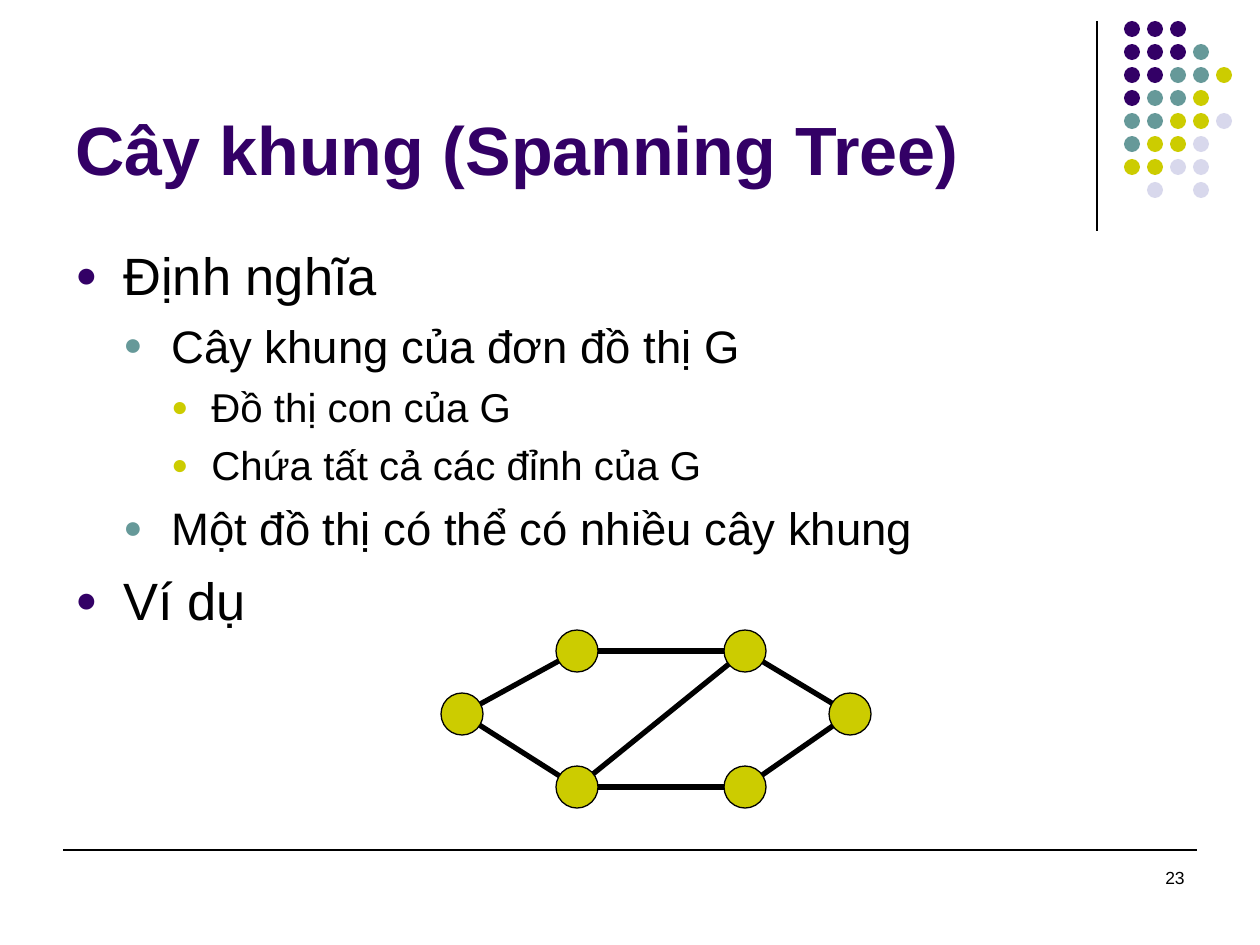
from lxml import etree
from pptx import Presentation, util as u
from pptx.dml.color import RGBColor
from pptx.enum import shapes, text
from pptx.oxml.ns import qn

PX = u.Inches(1) / 126
FONT = "Arial"
BLACK = RGBColor(0x00, 0x00, 0x00)
PURPLE = RGBColor(0x33, 0x00, 0x66)
TEAL = RGBColor(0x66, 0x99, 0x99)
OLIVE = RGBColor(0xCC, 0xCC, 0x00)
LILAC = RGBColor(0xD8, 0xD8, 0xEC)

DOT_COLORS = {"P": PURPLE, "T": TEAL, "O": OLIVE, "L": LILAC}
DOT_ROWS = ["PPP", "PPPT", "PPTTO", "PTTO", "TTOOL", "TOOL", "OOLL", " L L"]
LEVELS = [
    {"size": 30, "before": 7.5, "margin": 48, "hang": 48, "color": PURPLE},
    {"size": 26, "before": 6.5, "margin": 96, "hang": 48, "color": TEAL},
    {"size": 23, "before": 5.8, "margin": 136, "hang": 40, "color": OLIVE},
]
BODY = [
    (0, "Định nghĩa"),
    (1, "Cây khung của đơn đồ thị G"),
    (2, "Đồ thị con của G"),
    (2, "Chứa tất cả các đỉnh của G"),
    (1, "Một đồ thị có thể có nhiều cây khung"),
    (0, "Ví dụ"),
]
NODES = {
    "left": (462, 714),
    "top_left": (577, 651),
    "top_right": (745, 651),
    "right": (850, 714),
    "bottom_left": (577, 787),
    "bottom_right": (745, 787),
}
EDGES = [
    ("bottom_left", "bottom_right"),
    ("top_left", "top_right"),
    ("top_right", "right"),
    ("bottom_right", "right"),
    ("bottom_left", "top_right"),
    ("left", "bottom_left"),
    ("left", "top_left"),
]


def px(n):
    """Turn pixels into EMU."""
    return u.Emu(round(n * PX))


def apply_format(target, values):
    """Set each named attribute on the target."""
    for name, value in values.items():
        setattr(target, name, value)


def add_line(s, start, end, width):
    """Draw a straight black line between two points."""
    c = s.shapes.add_connector(shapes.MSO_CONNECTOR.STRAIGHT, *map(px, (*start, *end)))
    c.line.color.rgb = BLACK
    c.line.width = u.Pt(width)
    etree.SubElement(c._element.spPr, qn("a:effectLst"))


def add_circle(s, left, top, size, color, outlined=False):
    """Draw a filled circle, with a thin outline if asked."""
    sp = s.shapes.add_shape(shapes.MSO_SHAPE.OVAL, *map(px, (left, top, size, size)))
    sp.shadow.inherit = False
    sp.fill.solid()
    sp.fill.fore_color.rgb = color
    if outlined:
        sp.line.color.rgb = BLACK
        sp.line.width = u.Pt(0.75)
    else:
        sp.line.fill.background()


def add_box(s, left, top, width, height, anchor=text.MSO_ANCHOR.TOP):
    """Add a wrapping text box and return its text frame."""
    tf = s.shapes.add_textbox(*map(px, (left, top, width, height))).text_frame
    apply_format(tf, {"word_wrap": True, "vertical_anchor": anchor})
    return tf


def add_run(p, wording, size, color=BLACK, bold=False):
    """Add a formatted run to a paragraph."""
    r = p.add_run()
    r.text = wording
    apply_format(r.font, {"name": FONT, "size": u.Pt(size), "bold": bold})
    r.font.color.rgb = color


def add_bullet(p, level):
    """Give a paragraph its hanging indent and coloured bullet."""
    pPr = p._p.get_or_add_pPr()
    pPr.set("marL", str(px(level["margin"])))
    pPr.set("indent", str(-px(level["hang"])))
    color = etree.SubElement(pPr, qn("a:buClr"))
    etree.SubElement(color, qn("a:srgbClr"), val=str(level["color"]))
    etree.SubElement(pPr, qn("a:buSzPct"), val="70000")
    etree.SubElement(pPr, qn("a:buFont"), typeface=FONT)
    etree.SubElement(pPr, qn("a:buChar"), char="●")


def add_dots(s):
    """Draw the grid of coloured dots in the corner."""
    for row, codes in enumerate(DOT_ROWS):
        for col, code in enumerate(codes):
            if code in DOT_COLORS:
                add_circle(s, 1124 + 23 * col, 21 + 23 * row, 16, DOT_COLORS[code])


def add_body(s):
    """Write the bulleted outline."""
    tf = add_box(s, 63, 237, 1134, 607)
    for i, (depth, wording) in enumerate(BODY):
        p = tf.add_paragraph() if i else tf.paragraphs[0]
        level = LEVELS[depth]
        add_bullet(p, level)
        apply_format(p, {"level": depth, "space_before": u.Pt(level["before"] if i else 0)})
        add_run(p, wording, level["size"])


def add_graph(s):
    """Draw the example graph, edges below nodes."""
    for start, end in EDGES:
        add_line(s, NODES[start], NODES[end], 3)
    for x, y in NODES.values():
        add_circle(s, x - 21, y - 21, 42, OLIVE, outlined=True)


def main():
    """Build the slide and save it."""
    prs = Presentation()
    apply_format(prs, {"slide_width": px(1260), "slide_height": px(945)})
    s = prs.slides.add_slide(prs.slide_layouts[6])
    add_line(s, (1097, 21), (1097, 231), 0.75)
    add_dots(s)
    add_line(s, (63, 850), (1197, 850), 0.75)
    title = add_box(s, 63, 16, 1040, 179, text.MSO_ANCHOR.BOTTOM)
    add_run(title.paragraphs[0], "Cây khung (Spanning Tree)", 39, PURPLE, True)
    add_body(s)
    add_graph(s)
    number = add_box(s, 903, 861, 294, 63).paragraphs[0]
    number.alignment = text.PP_ALIGN.RIGHT
    add_run(number, "23", 10)
    prs.save("out.pptx")


if __name__ == "__main__":
    main()
